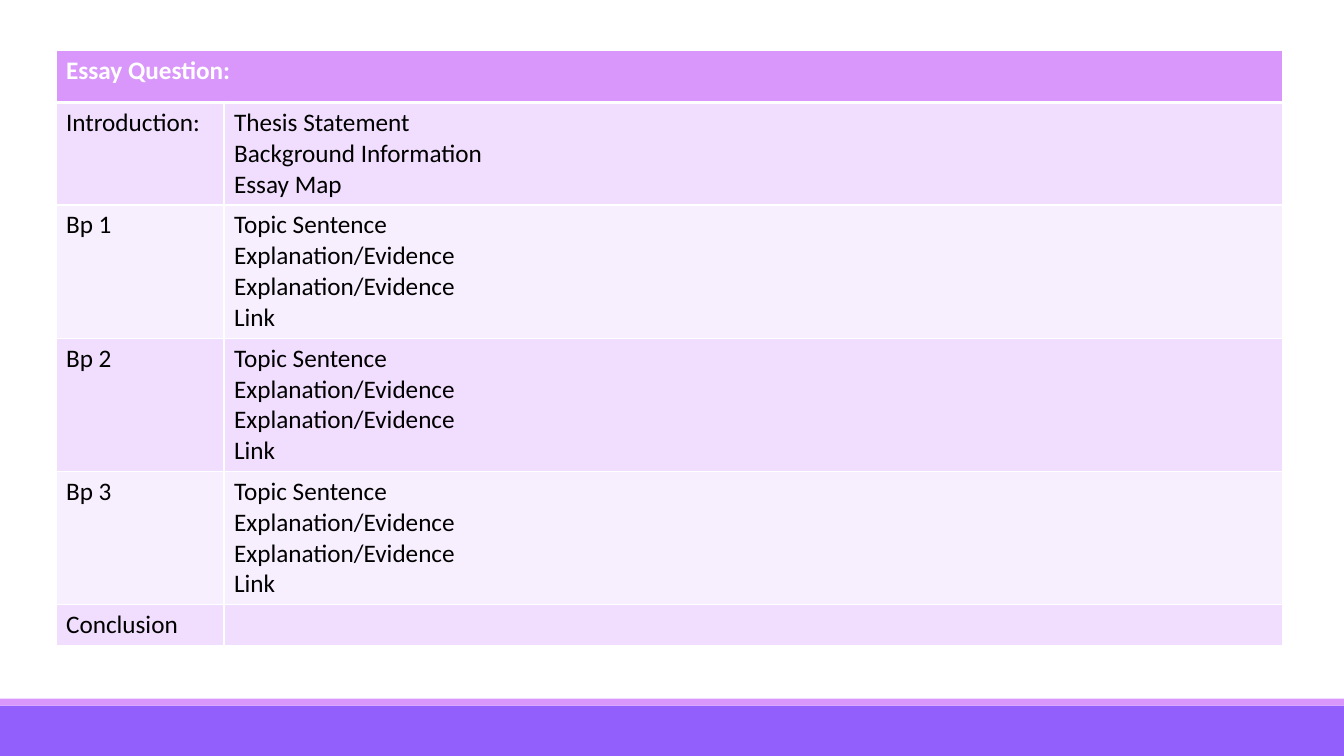
import pptx
import pptx.dml.color
import pptx.enum.shapes
import pptx.oxml
import pptx.oxml.ns
import pptx.util

RGBColor = pptx.dml.color.RGBColor
WHITE = RGBColor(0xFF, 0xFF, 0xFF)
BLACK = RGBColor(0x00, 0x00, 0x00)
VIOLET = RGBColor(0x92, 0x5F, 0xFD)
ORCHID = RGBColor(0xDA, 0x97, 0xFB)
LILAC = RGBColor(0xF1, 0xDD, 0xFD)
PALE_LILAC = RGBColor(0xF8, 0xEF, 0xFE)

GRID_COLUMNS = 240
GRID_ROWS = 135
HEADING_ROWS = 9.3
FIRST_LINE_ROWS = 7.3
EXTRA_LINE_ROWS = 5.5

QUESTION = "Essay Question:"
BODY_POINTS = ["Topic Sentence", "Explanation/Evidence", "Explanation/Evidence", "Link"]
SECTIONS = [
    ("Introduction:", ["Thesis Statement", "Background Information", "Essay Map"]),
    *[(f"Bp {number}", BODY_POINTS) for number in range(1, 4)],
    ("Conclusion", []),
]


class EssaySlide:
    font_name = "Calibri"
    font_size = pptx.util.Pt(18)

    def __init__(self, deck):
        self.slide = deck.slides.add_slide(deck.slide_layouts[6])
        self.column = deck.slide_width / GRID_COLUMNS
        self.row = deck.slide_height / GRID_ROWS

    def across(self, columns):
        return round(columns * self.column)

    def down(self, rows):
        return round(rows * self.row)

    def band(self, top, height, color):
        stripe = self.slide.shapes.add_shape(
            pptx.enum.shapes.MSO_SHAPE.RECTANGLE,
            0, self.down(top), self.across(GRID_COLUMNS), self.down(height),
        )
        stripe.shadow.inherit = False
        stripe.fill.solid()
        stripe.fill.fore_color.rgb = color
        stripe.line.fill.background()

    def border(self, cell, side, points):
        namespace = pptx.oxml.ns.nsdecls("a")
        cell._tc.get_or_add_tcPr().append(pptx.oxml.parse_xml(
            f'<a:ln{side} {namespace} w="{pptx.util.Pt(points)}">'
            f'<a:solidFill><a:srgbClr val="{WHITE}"/></a:solidFill></a:ln{side}>'
        ))

    def cell(self, cell, text, fill, color=BLACK, bold=False, top=1, bottom=1):
        for side, points in zip("LRTB", (1, 1, top, bottom)):
            self.border(cell, side, points)
        cell.fill.solid()
        cell.fill.fore_color.rgb = fill
        cell.text_frame.text = text
        for paragraph in cell.text_frame.paragraphs:
            paragraph.font.size = self.font_size
            for run in paragraph.runs:
                run.font.name = self.font_name
                run.font.size = self.font_size
                run.font.bold = bold
                run.font.color.rgb = color

    def outline(self, left, top, widths, question, sections):
        heights = [HEADING_ROWS] + [
            FIRST_LINE_ROWS + EXTRA_LINE_ROWS * max(len(points) - 1, 0)
            for _, points in sections
        ]
        plan = self.slide.shapes.add_table(
            len(heights), len(widths), self.across(left), self.down(top),
            self.across(sum(widths)), self.down(sum(heights)),
        ).table
        for column, width in zip(plan.columns, widths):
            column.width = self.across(width)
        for row, height in zip(plan.rows, heights):
            row.height = self.down(height)

        plan.cell(0, 0).merge(plan.cell(0, 1))
        self.cell(plan.cell(0, 0), question, ORCHID, WHITE, bold=True, bottom=3)
        self.cell(plan.cell(0, 1), "", ORCHID, bottom=3)
        for index, (section, points) in enumerate(sections, 1):
            fill = LILAC if index % 2 else PALE_LILAC
            top_line = 3 if index == 1 else 1
            self.cell(plan.cell(index, 0), section, fill, top=top_line)
            self.cell(plan.cell(index, 1), "\n".join(points), fill, top=top_line)


def main():
    deck = pptx.Presentation()
    deck.slide_width = pptx.util.Inches(13.33)
    deck.slide_height = pptx.util.Inches(7.5)
    essay = EssaySlide(deck)
    essay.band(126, 9, VIOLET)
    essay.band(124.75, 1.25, ORCHID)
    essay.outline(10, 9, (30, 189), QUESTION, SECTIONS)
    deck.save("out.pptx")


if __name__ == "__main__":
    main()
